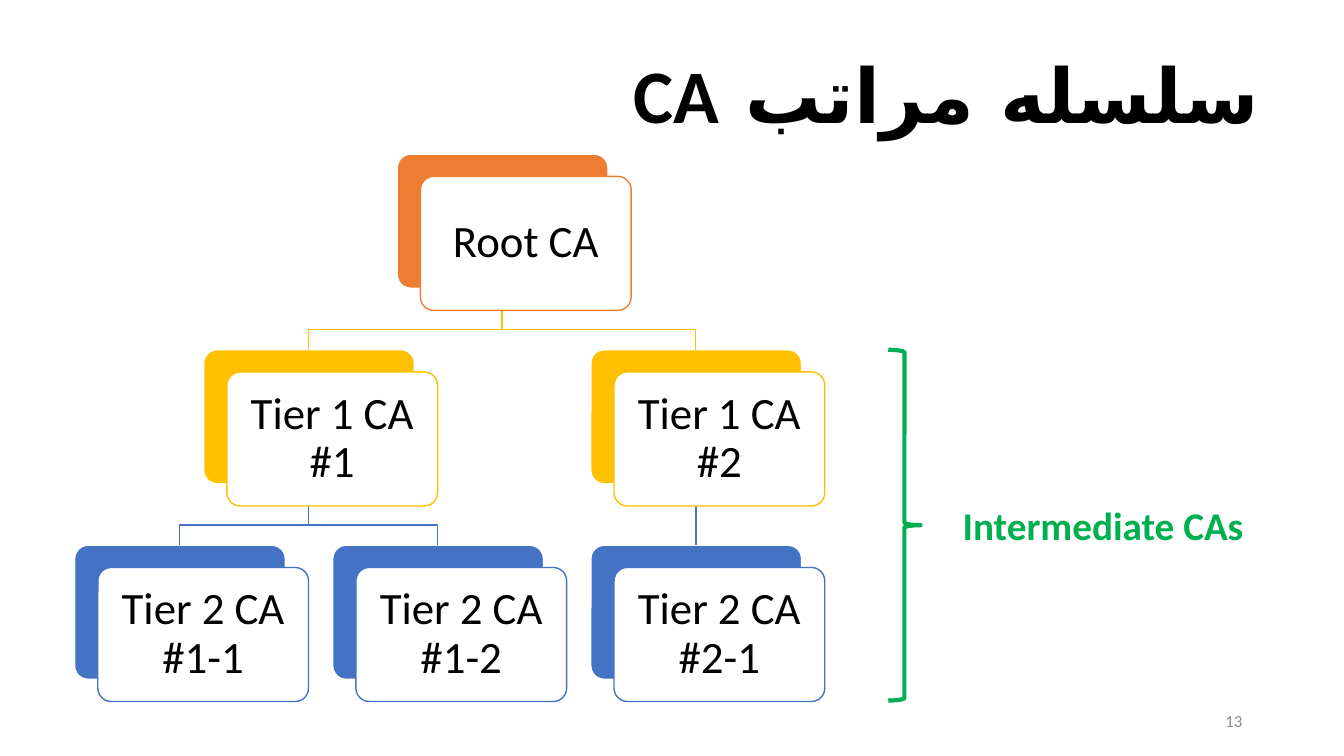
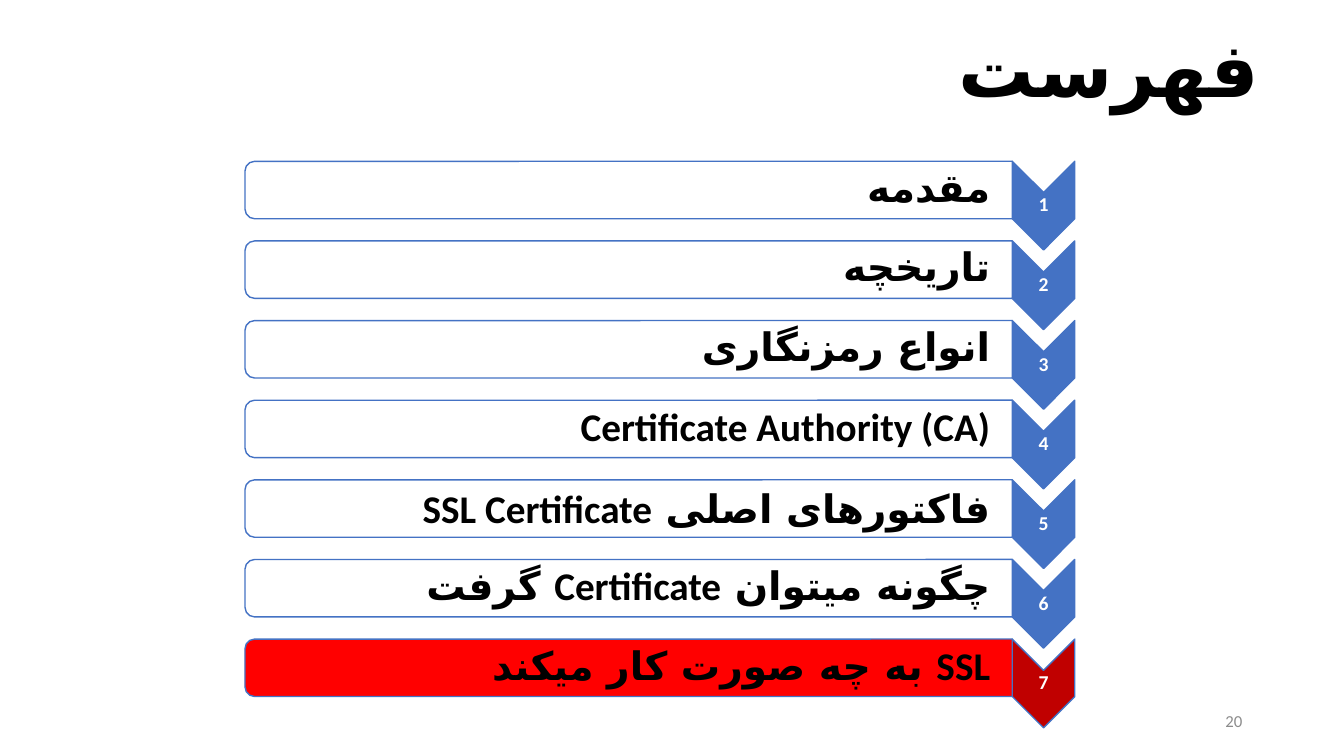
from dataclasses import dataclass
from typing import Any

from lxml import etree
from pptx import Presentation
from pptx.dml.color import RGBColor
from pptx.enum.shapes import MSO_CONNECTOR, MSO_SHAPE
from pptx.enum.text import MSO_ANCHOR, MSO_AUTO_SIZE, PP_ALIGN
from pptx.oxml.ns import qn
from pptx.shapes.autoshape import Shape
from pptx.slide import Slide
from pptx.text.text import TextFrame
from pptx.util import Emu, Pt

ROUNDED = MSO_SHAPE.ROUNDED_RECTANGLE
TOP_ROUNDED = MSO_SHAPE.ROUND_2_SAME_RECTANGLE
CHEVRON = MSO_SHAPE.CHEVRON
RIGHT_BRACE = MSO_SHAPE.RIGHT_BRACE
STRAIGHT = MSO_CONNECTOR.STRAIGHT
MIDDLE, TOP = MSO_ANCHOR.MIDDLE, MSO_ANCHOR.TOP
NO_AUTOFIT = MSO_AUTO_SIZE.NONE
LEFT, CENTER, RIGHT = PP_ALIGN.LEFT, PP_ALIGN.CENTER, PP_ALIGN.RIGHT

EMU_PER_PX = 9144  # 100 px to the inch
SLIDE_SIZE = (1333, 750)
TITLE_ONLY = 5


@dataclass(frozen=True)
class Theme:
    font: str = "Calibri"
    persian_font: str = "DejaVu Sans"
    black: str = "000000"
    white: str = "FFFFFF"
    grey: str = "8C8C8C"
    blue: str = "4472C4"
    green: str = "00B050"
    red: str = "FF0000"
    dark_red: str = "C00000"
    tiers: tuple[str, ...] = ("ED7D31", "FFC000", "4472C4")
    title_size: int = 54
    card_size: int = 32
    body_size: int = 28
    number_size: int = 14
    footer_size: int = 12
    line_width: int = 1
    brace_width: int = 3


THEME = Theme()


@dataclass(frozen=True)
class Box:
    left: int
    top: int
    width: int
    height: int

    @property
    def center_x(self) -> int:
        return self.left + self.width // 2

    @property
    def bottom(self) -> int:
        return self.top + self.height

    def emu(self) -> tuple[Emu, ...]:
        return tuple(px(n) for n in (self.left, self.top, self.width, self.height))

    def moved(self, dx: int, dy: int) -> "Box":
        return Box(self.left + dx, self.top + dy, self.width, self.height)

    def turned(self) -> "Box":
        """The box that covers this one after a quarter turn."""
        shift = (self.width - self.height) // 2
        return Box(self.left + shift, self.top - shift, self.height, self.width)


@dataclass(frozen=True)
class TextStyle:
    size: int
    color: str = THEME.black
    bold: bool = False
    align: PP_ALIGN = CENTER
    anchor: MSO_ANCHOR = MIDDLE
    rtl: bool = False
    spacing: float = 0.9
    margins: tuple[int, int, int, int] = (10, 5, 10, 5)


@dataclass(frozen=True)
class Authority:
    name: str
    tier: int
    column: int = 0
    children: tuple["Authority", ...] = ()

    def box(self) -> Box:
        """Leaves stand on the column grid; a parent is centred over its children."""
        if self.children:
            lefts = [child.box().left for child in self.children]
            left = (lefts[0] + lefts[-1]) // 2
        else:
            left = 74 + 256 * self.column
        return Box(left, 153 + 194 * self.tier, 209, 133)

    def family(self) -> list["Authority"]:
        return [self] + [kin for child in self.children for kin in child.family()]


@dataclass(frozen=True)
class Topic:
    text: str
    spacing: float = 0.9
    bar_fill: str = THEME.white
    chevron_fill: str = THEME.blue


ROOT = Authority("Root CA", 0, children=(
    Authority("Tier 1 CA #1", 1, children=(
        Authority("Tier 2 CA #1-1", 2, 0),
        Authority("Tier 2 CA #1-2", 2, 1),
    )),
    Authority("Tier 1 CA #2", 1, children=(
        Authority("Tier 2 CA #2-1", 2, 2),
    )),
))

TOPICS = (
    Topic("مقدمه"),
    Topic("تاریخچه"),
    Topic("انواع رمزنگاری"),
    Topic("Certificate Authority (CA)"),
    Topic("فاکتورهای اصلی SSL Certificate", spacing=1.0),
    Topic("چگونه میتوان Certificate گرفت"),
    Topic("SSL به چه صورت کار میکند", bar_fill=THEME.red,
          chevron_fill=THEME.dark_red),
)

TITLE_STYLE = TextStyle(THEME.title_size, bold=True, align=RIGHT, rtl=True)
FOOTER_STYLE = TextStyle(THEME.footer_size, THEME.grey, align=RIGHT, spacing=1.0)
CARD_STYLE = TextStyle(THEME.card_size, margins=(13, 13, 13, 13))
BRACE_STYLE = TextStyle(THEME.body_size, THEME.green, bold=True, align=LEFT,
                        anchor=TOP, spacing=1.0)
NUMBER_STYLE = TextStyle(THEME.number_size, THEME.white, bold=True,
                         margins=(1, 1, 1, 1))


def px(length: int) -> Emu:
    return Emu(length * EMU_PER_PX)


def rgb(color: str) -> RGBColor:
    return RGBColor.from_string(color)


def set_all(target: Any, values: dict[str, Any]) -> None:
    for attribute, value in values.items():
        setattr(target, attribute, value)


def write(frame: TextFrame, text: str, style: TextStyle) -> None:
    left, top, right, bottom = (px(n) for n in style.margins)
    set_all(frame, {
        "word_wrap": True, "auto_size": NO_AUTOFIT, "vertical_anchor": style.anchor,
        "margin_left": left, "margin_top": top,
        "margin_right": right, "margin_bottom": bottom,
    })
    paragraph = frame.paragraphs[0]
    set_all(paragraph, {"alignment": style.align, "line_spacing": style.spacing})
    run = paragraph.add_run()
    run.text = text
    set_all(run.font, {"name": THEME.font, "size": Pt(style.size), "bold": style.bold})
    run.font.color.rgb = rgb(style.color)
    if style.rtl:
        paragraph._p.get_or_add_pPr().set("rtl", "1")
        script_font = etree.SubElement(run._r.get_or_add_rPr(), qn("a:cs"))
        script_font.set("typeface", THEME.persian_font)


def add_text(slide: Slide, box: Box, text: str, style: TextStyle) -> None:
    write(slide.shapes.add_textbox(*box.emu()).text_frame, text, style)


def outline(shape: Any, color: str, width: int = THEME.line_width) -> None:
    shape.line.color.rgb = rgb(color)
    shape.line.width = Pt(width)


def add_filled(slide: Slide, kind: MSO_SHAPE, box: Box, fill: str, line: str) -> Shape:
    shape = slide.shapes.add_shape(kind, *box.emu())
    shape.shadow.inherit = False
    shape.fill.solid()
    shape.fill.fore_color.rgb = rgb(fill)
    outline(shape, line)
    return shape


def add_card(slide: Slide, box: Box, fill: str, line: str) -> Shape:
    card = add_filled(slide, ROUNDED, box, fill, line)
    card.adjustments[0] = 0.1
    return card


def link(slide: Slide, parent: Authority, child: Authority,
         backs: dict[str, Shape]) -> None:
    """Straight connector to a child right below, bent line to any other."""
    start, end = parent.box(), child.box()
    color = THEME.tiers[child.tier]
    if start.center_x == end.center_x:
        line = slide.shapes.add_connector(
            STRAIGHT, px(start.center_x), px(start.bottom),
            px(end.center_x), px(end.top))
        line.begin_connect(backs[parent.name], 2)
        line.end_connect(backs[child.name], 0)
        outline(line, color)
        etree.SubElement(line._element.spPr, qn("a:effectLst"))
        return
    bend = end.top - 20
    builder = slide.shapes.build_freeform(px(start.center_x), px(start.bottom))
    builder.add_line_segments(
        [(px(x), px(y)) for x, y in ((start.center_x, bend), (end.center_x, bend),
                                     (end.center_x, end.top))],
        close=False)
    elbow = builder.convert_to_shape()
    elbow.shadow.inherit = False
    elbow.fill.background()
    outline(elbow, color)


def add_titled_slide(prs: Any, title: str, title_height: int, number: str) -> Slide:
    slide = prs.slides.add_slide(prs.slide_layouts[TITLE_ONLY])
    heading = slide.shapes.title
    left, top, width, height = Box(159, 26, 1100, title_height).emu()
    set_all(heading, {"left": left, "top": top, "width": width, "height": height})
    write(heading.text_frame, title, TITLE_STYLE)
    add_text(slide, Box(942, 695, 300, 40), number, FOOTER_STYLE)
    return slide


def build_hierarchy(prs: Any) -> None:
    slide = add_titled_slide(prs, "سلسله مراتب CA", 145, "13")
    authorities = ROOT.family()
    backs = {a.name: add_card(slide, a.box(), THEME.tiers[a.tier], THEME.white)
             for a in authorities}
    for parent in authorities:
        for child in parent.children:
            link(slide, parent, child, backs)
    for authority in authorities:
        front = add_card(slide, authority.box().moved(23, 22), THEME.white,
                         THEME.tiers[authority.tier])
        write(front.text_frame, authority.name, CARD_STYLE)

    brace = slide.shapes.add_shape(RIGHT_BRACE, *Box(881, 347, 32, 348).emu())
    brace.shadow.inherit = False
    brace.fill.background()
    outline(brace, THEME.green, THEME.brace_width)
    add_text(slide, Box(945, 492, 324, 57), "Intermediate CAs", BRACE_STYLE)


def build_contents(prs: Any) -> None:
    slide = add_titled_slide(prs, "فهرست", 92, "20")
    for index, topic in enumerate(TOPICS):
        top = 160 + 79 * index
        chevron = add_filled(slide, CHEVRON, Box(1004, top, 62, 88).turned(),
                             topic.chevron_fill, THEME.blue)
        chevron.rotation = 90
        add_text(slide, Box(1004, top + 31, 62, 26), str(index + 1), NUMBER_STYLE)
        bar = add_filled(slide, TOP_ROUNDED, Box(243, top, 761, 57).turned(),
                         topic.bar_fill, THEME.blue)
        bar.rotation = 270
        style = TextStyle(THEME.body_size, bold=True, align=RIGHT, rtl=True,
                          spacing=topic.spacing, margins=(2, 2, 22, 2))
        add_text(slide, Box(246, top + 2, 758, 52), topic.text, style)


def main() -> None:
    prs = Presentation()
    prs.slide_width, prs.slide_height = (px(n) for n in SLIDE_SIZE)
    build_hierarchy(prs)
    build_contents(prs)
    prs.save("out.pptx")


if __name__ == "__main__":
    main()
